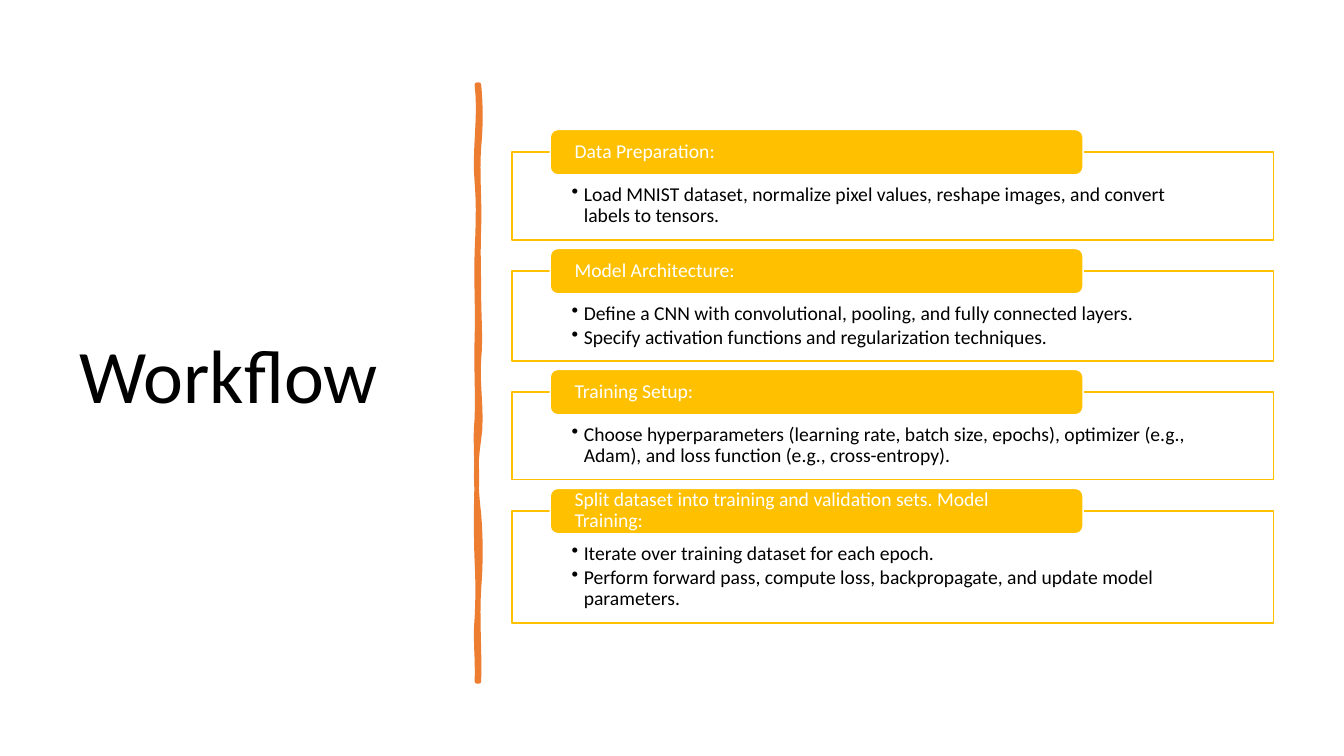
from lxml.etree import SubElement
from pptx import Presentation
from pptx.dml.color import RGBColor
from pptx.enum.shapes import MSO_SHAPE
from pptx.enum.text import MSO_ANCHOR, PP_ALIGN
from pptx.oxml.ns import qn
from pptx.util import Inches, Pt

BLACK = RGBColor(0x00, 0x00, 0x00)
WHITE = RGBColor(0xFF, 0xFF, 0xFF)
GOLD = RGBColor(0xFF, 0xC0, 0x00)
ORANGE = RGBColor(0xED, 0x7D, 0x31)

STEP_GAP = 0.31
HEADER_HEIGHT = 0.45
STEPS = [
    ("Data Preparation:", 0.87,
     ["Load MNIST dataset, normalize pixel values, reshape images, and convert labels to tensors."]),
    ("Model Architecture:", 0.89,
     ["Define a CNN with convolutional, pooling, and fully connected layers.",
      "Specify activation functions and regularization techniques."]),
    ("Training Setup:", 0.87,
     ["Choose hyperparameters (learning rate, batch size, epochs), optimizer (e.g., Adam), "
      "and loss function (e.g., cross-entropy)."]),
    ("Split dataset into training and validation sets. Model Training:", 1.11,
     ["Iterate over training dataset for each epoch.",
      "Perform forward pass, compute loss, backpropagate, and update model parameters."]),
]

RIGHT_WAVES = [(1.46, 0.02, 0.02), (2.26, -0.02, 0.01), (2.94, -0.01, 0), (3.56, 0, 0.02),
               (4.36, -0.02, 0.04), (5.1, -0.04, -0.03), (5.84, 0.02, 0.02), (6.76, -0.02, 0.01)]
LEFT_WAVES = [(6.13, 0.01, -0.02), (5.57, 0.01, 0.01), (4.77, -0.01, -0.01), (4.15, 0, -0.02),
              (3.35, 0.01, -0.01), (2.5, 0.01, -0.01), (1.81, 0.01, 0.02), (0.84, -0.03, 0.04)]


def write_text(tf, lines, size=14, color=BLACK, anchor=MSO_ANCHOR.TOP,
               margins=(0.1, 0.05, 0.1, 0.05), bullet=False):
    """Fill a text frame with one formatted paragraph per line."""
    tf.word_wrap = True
    tf.vertical_anchor = anchor
    tf.margin_left, tf.margin_top, tf.margin_right, tf.margin_bottom = map(Inches, margins)
    for i, line in enumerate(lines):
        p = tf.paragraphs[0] if i == 0 else tf.add_paragraph()
        p.alignment = PP_ALIGN.LEFT
        p.line_spacing = 0.9
        if bullet:
            p.space_after = Pt(2)
            pPr = p._p.get_or_add_pPr()
            pPr.set("marL", str(Inches(0.12)))
            pPr.set("indent", str(-Inches(0.12)))
            SubElement(pPr, qn("a:buChar")).set("char", "•")
        r = p.add_run()
        r.text = line
        r.font.name = "Calibri"
        r.font.size = Pt(size)
        r.font.color.rgb = color


def style_shape(sp, fill, line, width=1):
    """Give a shape a plain fill and outline without shadow."""
    sp.shadow.inherit = False
    sp.fill.solid()
    sp.fill.fore_color.rgb = fill
    sp.line.color.rgb = line
    sp.line.width = Pt(width)


def wave_edge(x, top, waves, samples=8):
    """Return points along a vertical edge that sways around x."""
    points = []
    for bottom, first, second in waves:
        for i in range(1, samples + 1):
            t = i / samples
            sway = 3 * t * (1 - t) * ((1 - t) * first + t * second)
            points.append((Inches(x + sway), Inches(top + t * (bottom - top))))
        top = bottom
    return points


def add_title(s, left, top, width, height):
    """Place the slide title in its box."""
    box = s.shapes.add_textbox(Inches(left), Inches(top), Inches(width), Inches(height))
    write_text(box.text_frame, ["Workflow"], size=54, anchor=MSO_ANCHOR.MIDDLE)


def add_divider(s, left, top, width, height):
    """Draw the hand-drawn vertical divider."""
    right, bottom = left + width, top + height
    builder = s.shapes.build_freeform(Inches(right), Inches(top))
    builder.add_line_segments(wave_edge(right, top, RIGHT_WAVES), close=False)
    builder.add_line_segments([(Inches(left), Inches(bottom))], close=False)
    builder.add_line_segments(wave_edge(left, bottom, LEFT_WAVES))
    sp = builder.convert_to_shape()
    style_shape(sp, ORANGE, ORANGE, 3.25)
    SubElement(sp.line._get_or_add_ln(), qn("a:round"))


def add_step(s, left, top, width, height, heading, bullets):
    """Place a bordered step with its heading tab on the top edge."""
    body = s.shapes.add_shape(MSO_SHAPE.RECTANGLE, Inches(left), Inches(top),
                              Inches(width), Inches(height))
    style_shape(body, WHITE, GOLD)
    write_text(body.text_frame, bullets, margins=(0.59, 0.32, 0.59, 0.11), bullet=True)
    tab = s.shapes.add_shape(MSO_SHAPE.ROUNDED_RECTANGLE, Inches(left + width * 0.05),
                             Inches(top - HEADER_HEIGHT / 2), Inches(width * 0.7),
                             Inches(HEADER_HEIGHT))
    style_shape(tab, GOLD, WHITE)
    write_text(tab.text_frame, [heading], color=WHITE, anchor=MSO_ANCHOR.MIDDLE,
               margins=(0.22, 0, 0.22, 0))


def add_steps(s, left, top, width):
    """Stack the workflow steps with equal gaps."""
    for heading, height, bullets in STEPS:
        add_step(s, left, top, width, height, heading, bullets)
        top += height + STEP_GAP


def main():
    """Build and save the workflow slide."""
    prs = Presentation()
    prs.slide_width, prs.slide_height = Inches(13.33), Inches(7.5)
    s = prs.slides.add_slide(prs.slide_layouts[6])
    add_title(s, 0.69, 0.7, 3.74, 6.11)
    add_divider(s, 4.73, 0.84, 0.02, 5.92)
    add_steps(s, 5.08, 1.51, 7.55)
    prs.save("out.pptx")


if __name__ == "__main__":
    main()
